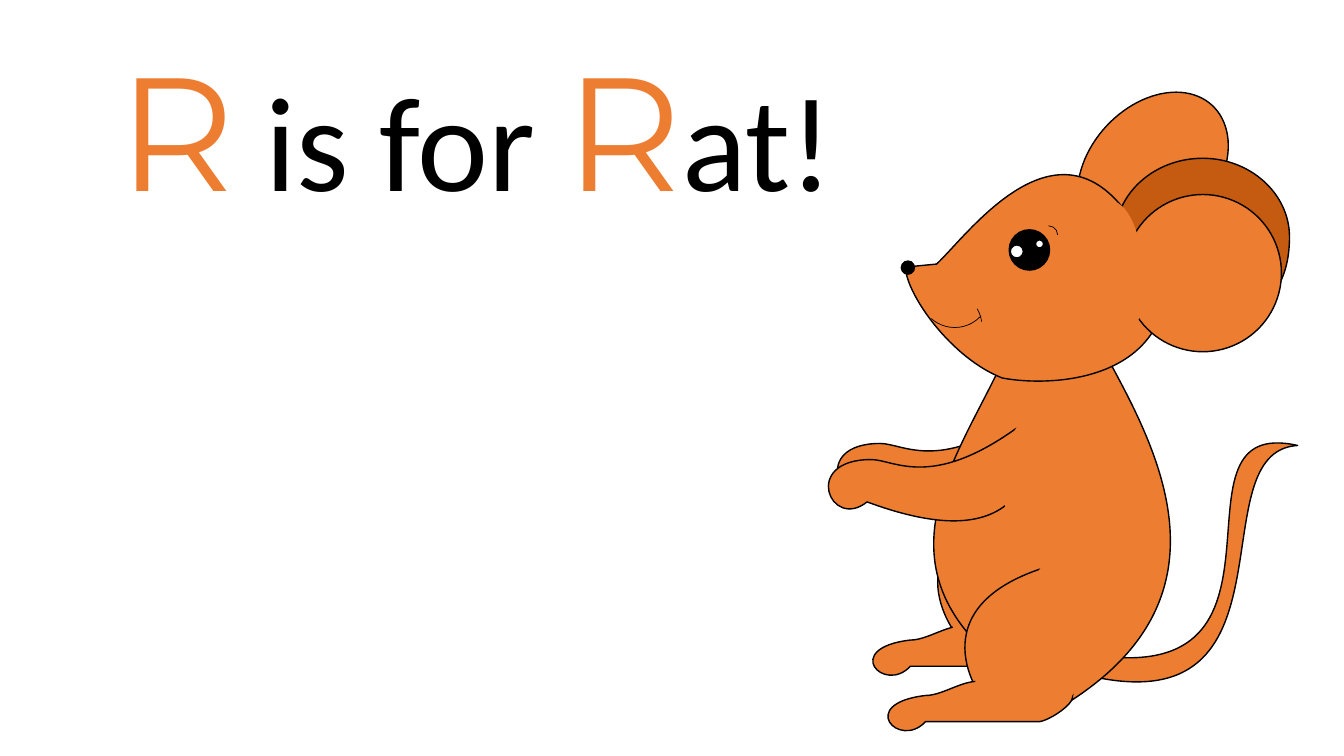
from lxml import etree
from pptx import Presentation, util as u
from pptx.dml.color import RGBColor
from pptx.enum import shapes as s, text as t
from pptx.oxml import ns

ORANGE = RGBColor(0xED, 0x7D, 0x31)
BROWN = RGBColor(0xC5, 0x5A, 0x11)
BLACK = RGBColor(0, 0, 0)
WHITE = RGBColor(255, 255, 255)
STEPS = 24  # samples on a curve, to find its extent

# Outlines in inches from the corner of the rat's box:
# a start point, then lines (x, y) and curves (three points)
ARM = [(2.2, 3.16), (2.44, 3.48), (2.13, 3.56, 2.22, 4.58, 0.6, 3.98),
       (0.24, 4.27, -0.06, 3.56, 0.64, 3.56), (0.88, 3.56, 1.26, 3.89, 2.2, 3.16)]
THIGH = [(2.43, 4.61), (3.18, 4.61), (2.62, 5.94), (1.79, 5.98),
         (1.73, 5.95, 1.05, 5.01, 2.43, 4.61)]
FOOT = [(1.18, 5.9), (1.34, 5.9, 1.53, 5.76, 1.69, 5.76), (2.29, 5.9),
        (3.01, 5.75, 2.41, 6.18, 2.29, 6.16), (1.18, 6.16),
        (0.92, 6.44, 0.49, 5.98, 1.18, 5.9)]
TAIL = [(2.93, 5.51), (5.01, 5.76, 3.5, 3.11, 4.87, 3.42),
        (3.86, 3.48, 4.95, 6.22, 2.78, 5.7)]
BODY = [(2.04, 2.36), (2.88, 2.36), (3.38, 3.29, 4.36, 4.84, 2.61, 5.96),
        (1.66, 5.35), (0.72, 4.33, 1.69, 3.28, 2.04, 2.36)]
HEAD = [(3.52, 2.11), (3.5, 1.66, 3.42, 1.49, 3.21, 1.16),
        (2.48, 0.09, 1.6, 1.33, 1.29, 1.62), (0.98, 1.65),
        (0.99, 1.92, 1.43, 2.55, 1.94, 2.75), (2.36, 2.83, 3.28, 2.8, 3.52, 2.11)]
EAR = [(3.06, 1.35), (3.06, 0.92, 3.45, 0.57, 3.93, 0.57),
       (4.4, 0.57, 4.79, 0.92, 4.79, 1.35), (4.79, 1.78, 4.6, 2.21, 3.93, 2.13),
       (3.25, 2.05, 3.06, 1.78, 3.06, 1.35)]
HIP = [(2.52, 5.92), (2.22, 5.92, 2.15, 5.27, 2.18, 5.01),
       (2.21, 4.75, 2.42, 4.37, 2.72, 4.37), (3.36, 4.3, 3.29, 4.75, 3.25, 5.01),
       (3.22, 5.27, 2.82, 5.92, 2.52, 5.92)]


def trace(steps):
    """Turn lines and cubic curves into a list of points."""
    pts = [steps[0]]
    for step in steps[1:]:
        if len(step) == 2:
            pts.append(step)
            continue
        a, (b, c, d) = pts[-1], (step[:2], step[2:4], step[4:])
        for i in range(1, STEPS + 1):
            k = i / STEPS
            m = 1 - k
            pts.append(tuple(m**3 * p + 3 * m * m * k * q + 3 * m * k * k * r + k**3 * e
                             for p, q, r, e in zip(a, b, c, d)))
    return pts


def bend(shape, steps, x0, y0):
    """Redraw the shape's path with lines and true curves."""
    path = next(shape.element.iter(ns.qn("a:path")))
    for old in list(path):
        path.remove(old)
    for i, step in enumerate(steps):
        tag = "a:moveTo" if i == 0 else "a:lnTo" if len(step) == 2 else "a:cubicBezTo"
        node = etree.SubElement(path, ns.qn(tag))
        for x, y in zip(step[::2], step[1::2]):
            etree.SubElement(node, ns.qn("a:pt"), x=str(u.Inches(x0 + x) - shape.left),
                             y=str(u.Inches(y0 + y) - shape.top))
    etree.SubElement(path, ns.qn("a:close"))


def paint(shape, fill=ORANGE, width=1):
    shape.shadow.inherit = False
    if fill is None:
        shape.fill.background()
    else:
        shape.fill.solid()
        shape.fill.fore_color.rgb = fill
    if width:
        shape.line.color.rgb = BLACK
        shape.line.width = u.Pt(width)
    else:
        shape.line.fill.background()


def rat(slide, left, top):
    group = slide.shapes.add_group_shape().shapes

    def free(steps, dx=0, dy=0, **look):
        x0, y0 = left + dx, top + dy
        xs, ys = zip(*trace(steps))
        near = u.Inches(x0 + min(xs)), u.Inches(y0 + min(ys))
        far = u.Inches(x0 + max(xs)), u.Inches(y0 + max(ys))
        pen = group.build_freeform(*near)
        pen.add_line_segments([far])
        shape = pen.convert_to_shape()
        bend(shape, steps, x0, y0)
        paint(shape, **look)

    def preset(kind, x, y, w, h, **look):
        shape = group.add_shape(kind, u.Inches(left + x), u.Inches(top + y),
                                u.Inches(w), u.Inches(h))
        paint(shape, **look)
        return shape

    def oval(x, y, w, h, **look):
        return preset(s.MSO_SHAPE.OVAL, x, y, w, h, **look)

    def arc(x, y, size, start, end):
        shape = preset(s.MSO_SHAPE.ARC, x, y, size, size, fill=None, width=0.5)
        for i, angle in enumerate((start, end)):
            shape.adjustments[i] = angle * 0.6  # 60000 units a degree

    # Far limbs, tail and body
    free(ARM, 0.09, -0.16)
    free(THIGH, -0.27, -0.65)
    free(FOOT, -0.15, -0.55)
    oval(1.45, 4.89, 0.99, 0.67, width=0)
    free(TAIL)
    free(BODY)

    # Head and ears
    oval(2.57, 0.05, 1.73, 1.26).rotation = 312.8
    free(HEAD)
    free(EAR, fill=BROWN)
    oval(3.15, 0.93, 1.56, 1.56)

    # Near limbs
    free(THIGH)
    free(FOOT)
    free(ARM)

    # Nose and eye
    oval(0.94, 1.59, 0.13, 0.13, fill=BLACK)
    oval(2.01, 1.28, 0.4, 0.4, fill=BLACK)
    arc(2.31, 1.24, 0.18, 270, 0)
    oval(2.02, 1.43, 0.13, 0.13, fill=WHITE)
    oval(2.27, 1.38, 0.08, 0.08, fill=WHITE)

    # Patches that blend the joints
    oval(2.67, 0.99, 0.67, 1.56, width=0)
    oval(1.96, 3.06, 0.67, 1.56, width=0)
    free(HIP, width=0)
    oval(1.67, 5.46, 0.99, 0.67, width=0)

    # Smile
    arc(1.12, 1.55, 0.7, 41.8, 131.8)
    arc(1.04, 1.89, 0.7, 329.6, 351.9)


def title(slide, left, top, width, height):
    box = slide.shapes.title
    place = dict(left=left, top=top, width=width, height=height)
    for name, value in place.items():
        setattr(box, name, u.Inches(value))
    frame = box.text_frame
    look = dict(word_wrap=True, vertical_anchor=t.MSO_ANCHOR.TOP,
                auto_size=t.MSO_AUTO_SIZE.SHAPE_TO_FIT_TEXT)
    for name, value in look.items():
        setattr(frame, name, value)
    para = frame.paragraphs[0]
    para.alignment = t.PP_ALIGN.CENTER
    big = dict(name="Montserrat", size=u.Pt(115))
    plain = dict(name="Calibri", size=u.Pt(96))
    for words, font, color in (("R", big, ORANGE), (" is for ", plain, BLACK),
                               ("R", big, ORANGE), ("at! ", plain, BLACK)):
        run = para.add_run()
        run.text = words
        for name, value in font.items():
            setattr(run.font, name, value)
        run.font.color.rgb = color


def main():
    deck = Presentation()
    deck.slide_width, deck.slide_height = u.Inches(13.33), u.Inches(7.5)
    slide = deck.slides.add_slide(deck.slide_layouts[5])
    title(slide, 0.21, 0.25, 9.33, 2.04)
    rat(slide, 8, 1)
    deck.save("out.pptx")


if __name__ == "__main__":
    main()
